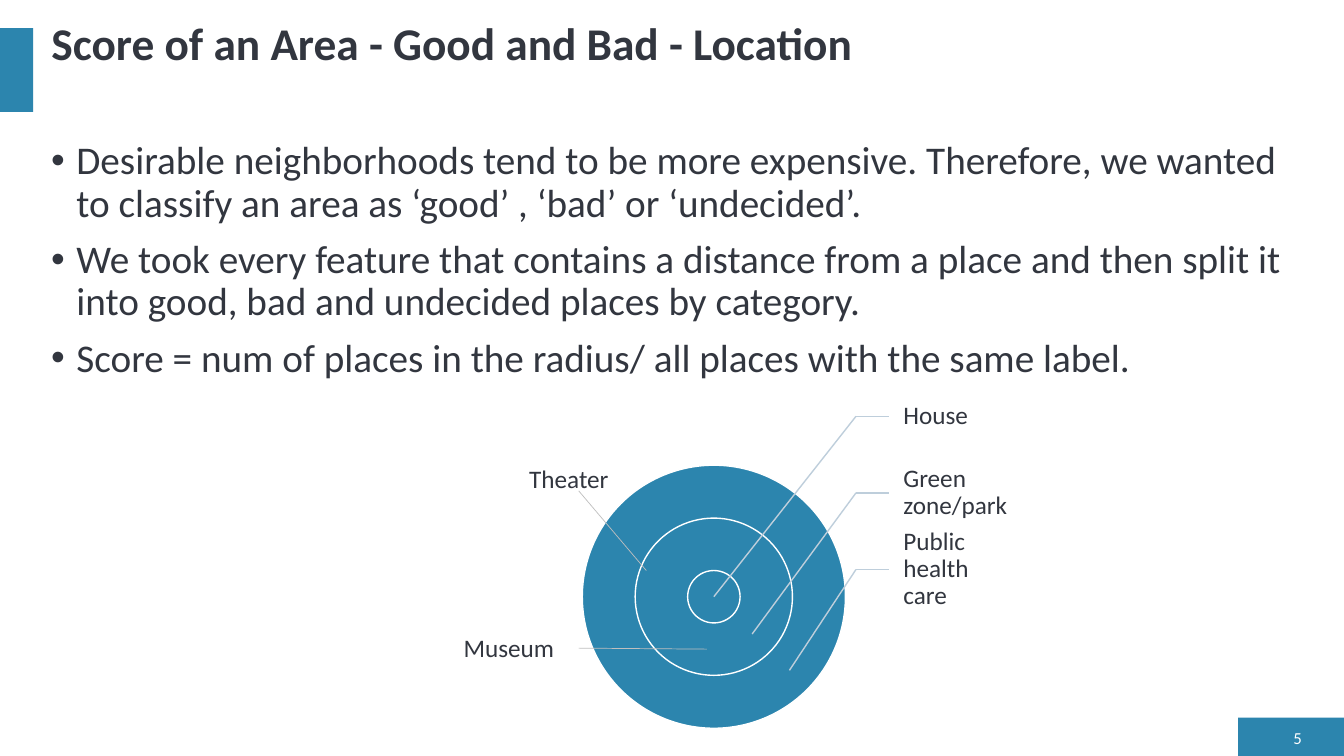
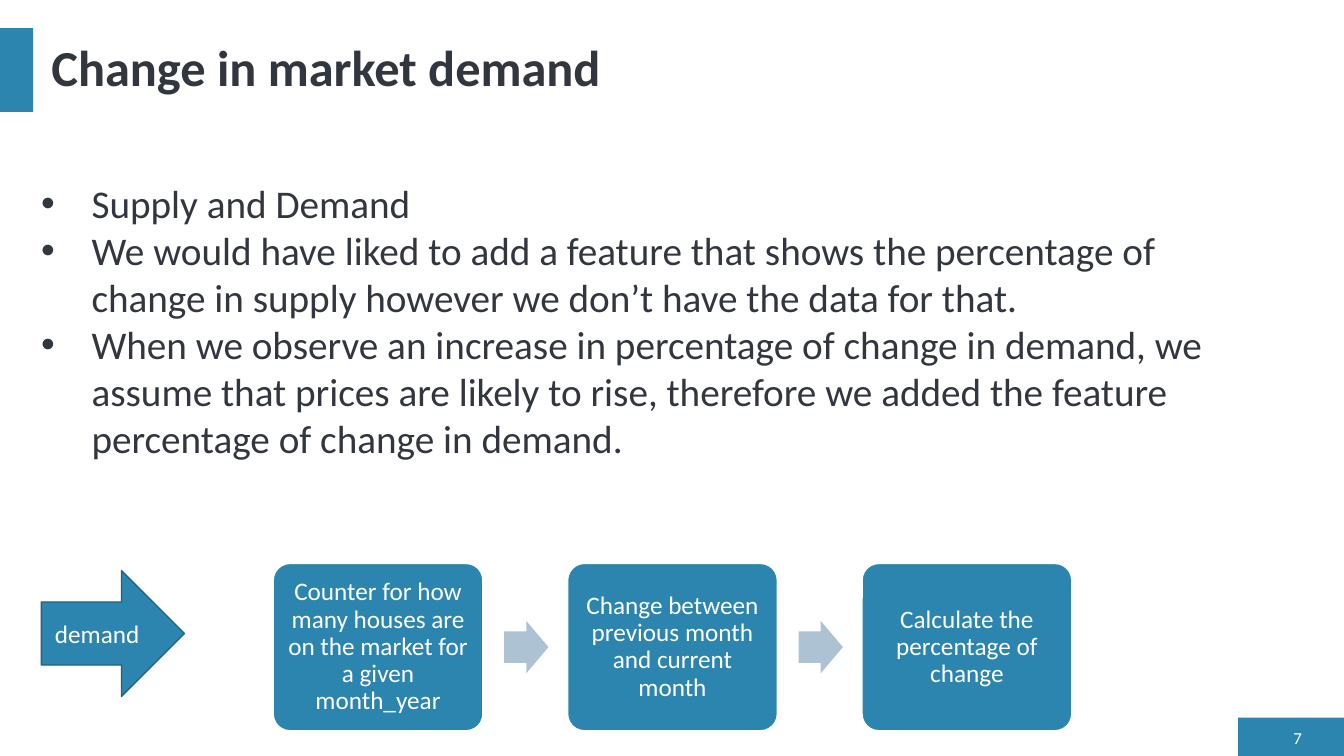
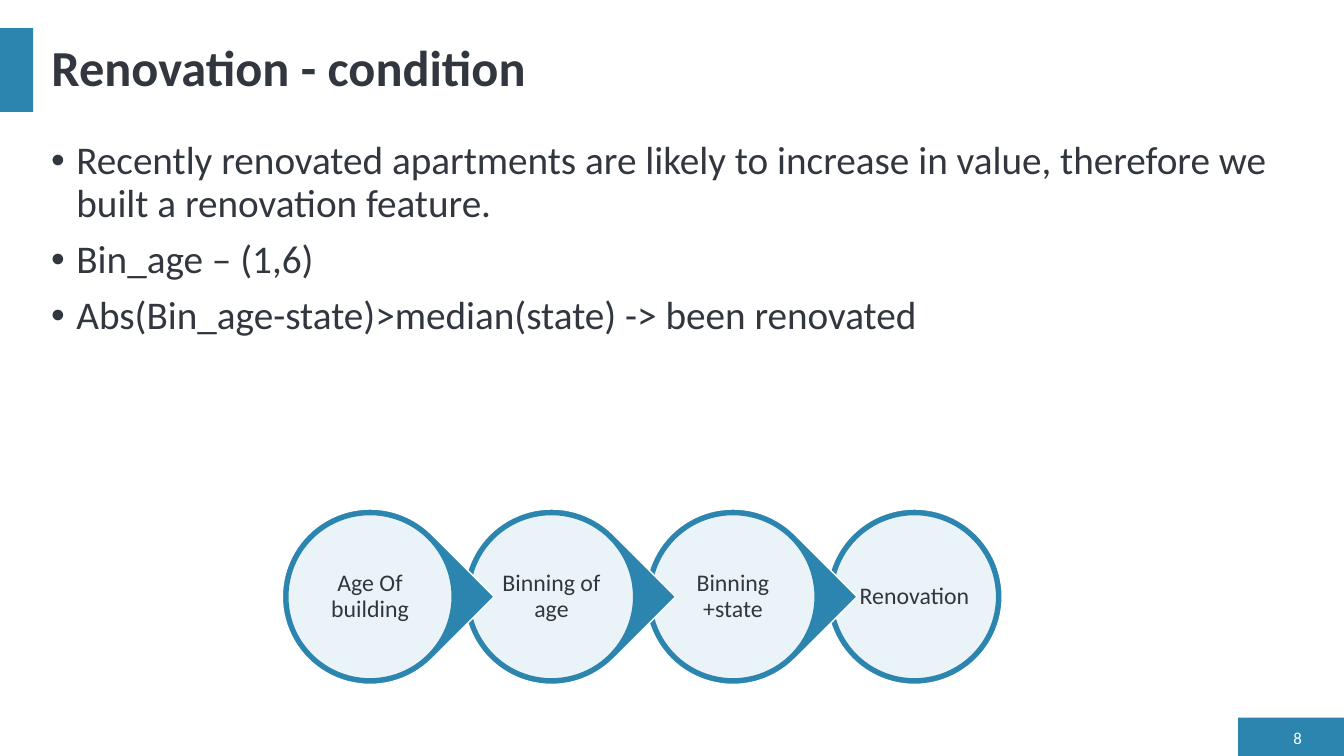
from pptx import Presentation
from pptx.dml.color import RGBColor
from pptx.enum.shapes import MSO_CONNECTOR, MSO_SHAPE
from pptx.enum.text import MSO_ANCHOR, MSO_AUTO_SIZE, PP_ALIGN
from pptx.oxml.ns import qn
from pptx.util import Inches, Pt
from lxml import etree

FONT = "Calibri"
BLUE = RGBColor(0x2C, 0x85, 0xAE)
DARK_BLUE = RGBColor(0x21, 0x62, 0x81)
PALE_BLUE = RGBColor(0xAD, 0xC2, 0xD3)
CALLOUT = RGBColor(0xBE, 0xCE, 0xDB)
GREY = RGBColor(0xBF, 0xBF, 0xBF)
INK = RGBColor(0x32, 0x36, 0x3F)
WHITE = RGBColor(0xFF, 0xFF, 0xFF)

BANDS = [(12.28, 7.12, 1.05, 0.38), (0, 0.28, 0.33, 0.83)]
TITLE_AT = (0.41, 0.28, 12.6, 0.83)
NUMBER_AT = (12.6, 7.2, 0.41, 0.23)

LOCATION_POINTS = [
    "Desirable neighborhoods tend to be more expensive. Therefore, we wanted to classify "
    "an area as ‘good’ , ‘bad’ or ‘undecided’.",
    "We took every feature that contains a distance from a place and then split it into "
    "good, bad and undecided places by category.",
    "Score = num of places in the radius/ all places with the same label.",
]
RING_CENTER = (7.08, 5.92)
RING_DIAMETERS = [2.61, 1.56, 0.52]
RIGHT_CALLOUTS = [  # label, line end
    ("House", RING_CENTER),
    ("Green zone/park", (7.46, 6.29)),
    ("Public health care", (7.83, 6.65)),
]
LEFT_CALLOUTS = [  # label, box, line start, line end
    ("Museum", (4.5, 6.22, 1.24, 0.4), (5.74, 6.43), (7.01, 6.44)),
    ("Theater", (5.15, 4.55, 1.55, 0.4), (5.74, 4.87), (6.41, 5.66)),
]

DEMAND_POINTS = [
    "Supply and Demand",
    "We would have liked to add a feature that shows the percentage of change in supply "
    "however we don’t have the data for that.",
    "When we observe an increase in percentage of change in demand, we assume that prices "
    "are likely to rise, therefore we added the feature percentage of change in demand.",
]
DEMAND_STEPS = [
    "Counter for how many houses are on the market for a given month_year",
    "Change between previous month and current month",
    "Calculate the percentage of change",
]

RENOVATION_POINTS = [
    "Recently renovated apartments are likely to increase in value, therefore we built a "
    "renovation feature.",
    "Bin_age – (1,6)",
    "Abs(Bin_age-state)>median(state) -> been renovated",
]
RENOVATION_STEPS = ["Age Of building", "Binning of age", "Binning +state", "Renovation"]


def inches(values):
    return [Inches(v) for v in values]


def write(p, text, size, color, bold=False):
    r = p.add_run()
    r.text = text
    r.font.name, r.font.size, r.font.bold = FONT, Pt(size), bold
    r.font.color.rgb = color


def set_text(sp, text, size, color, align=PP_ALIGN.LEFT, spacing=1.0, margins=None):
    tf = sp.text_frame
    tf.word_wrap = True
    tf.vertical_anchor = MSO_ANCHOR.MIDDLE
    if margins:
        tf.margin_left, tf.margin_top, tf.margin_right, tf.margin_bottom = inches(margins)
    p = tf.paragraphs[0]
    p.alignment, p.line_spacing = align, spacing
    write(p, text, size, color)


def add_label(s, at, *args, **kwargs):
    set_text(s.shapes.add_textbox(*inches(at)), *args, **kwargs)


def add_shape(s, kind, at, fill, line=None):
    sp = s.shapes.add_shape(kind, *inches(at))
    sp.shadow.inherit = False
    sp.fill.solid()
    sp.fill.fore_color.rgb = fill
    if line is None:
        sp.line.fill.background()
    else:
        sp.line.color.rgb = line
        sp.line.width = Pt(1)
    return sp


def add_line(s, start, end, color, width):
    line = s.shapes.add_connector(MSO_CONNECTOR.STRAIGHT, *inches(start + end))
    line.line.color.rgb = color
    line.line.width = Pt(width)
    etree.SubElement(line.element.spPr, qn("a:effectLst"))


def add_bullets(s, at, points, indent, spacing=1.0, before=0):
    tf = s.shapes.add_textbox(*inches(at)).text_frame
    tf.word_wrap = True
    for i, text in enumerate(points):
        p = tf.paragraphs[0] if i == 0 else tf.add_paragraph()
        p.line_spacing, p.space_before = spacing, Pt(before)
        pPr = p._p.get_or_add_pPr()
        pPr.set("marL", str(Inches(indent)))
        pPr.set("indent", str(-Inches(indent)))
        etree.SubElement(pPr, qn("a:buFont")).set("typeface", "Arial")
        etree.SubElement(pPr, qn("a:buChar")).set("char", "•")
        write(p, text, 28, INK)


def add_slide(prs, title, number, size=36):
    s = prs.slides.add_slide(prs.slide_layouts[5])
    for at in BANDS:
        add_shape(s, MSO_SHAPE.RECTANGLE, at, BLUE)
    head = s.shapes.title
    head.left, head.top, head.width, head.height = inches(TITLE_AT)
    tf = head.text_frame
    tf.auto_size, tf.word_wrap = MSO_AUTO_SIZE.NONE, True
    tf.vertical_anchor = MSO_ANCHOR.MIDDLE
    p = tf.paragraphs[0]
    p.alignment, p.line_spacing = PP_ALIGN.LEFT, 0.9
    write(p, title, size, INK, bold=True)
    add_label(s, NUMBER_AT, number, 12, WHITE, PP_ALIGN.RIGHT)
    return s


def location_slide(prs):
    s = add_slide(prs, "Score of an Area - Good and Bad - Location", "5", 32.4)
    s.shapes.title.text_frame.margin_bottom = Inches(0.54)
    add_bullets(s, (0.41, 1.35, 12.6, 5.41), LOCATION_POINTS, 0.25, 0.9, 10)
    cx, cy = RING_CENTER
    for d in RING_DIAMETERS:
        add_shape(s, MSO_SHAPE.OVAL, (cx - d / 2, cy - d / 2, d, d), BLUE, WHITE)
    left, height = 8.82, 0.76
    for i, (text, target) in enumerate(RIGHT_CALLOUTS):
        top = 3.75 + i * height
        elbow = (8.49, top + height / 2)
        add_label(s, (left, top, 1.3, height), text, 18, INK, spacing=0.9,
                  margins=(0.14, 0.03, 0.03, 0.03))
        add_line(s, elbow, (left, elbow[1]), CALLOUT, 1)
        add_line(s, elbow, target, CALLOUT, 1)
    for text, at, start, end in LEFT_CALLOUTS:
        add_label(s, at, text, 18, INK)
        add_line(s, start, end, GREY, 0.5)


def demand_slide(prs):
    s = add_slide(prs, "Change in market demand", "7")
    add_bullets(s, (0.31, 1.73, 12.04, 2.93), DEMAND_POINTS, 0.5)
    width, height, top, pitch = 2.08, 1.66, 5.59, 2.92
    for i, text in enumerate(DEMAND_STEPS):
        left = 2.71 + i * pitch
        box = add_shape(s, MSO_SHAPE.ROUNDED_RECTANGLE, (left, top, width, height), BLUE, WHITE)
        box.adjustments[0] = 0.1
        set_text(box, text, 18, WHITE, PP_ALIGN.CENTER, 0.9, [0.07] * 4)
        if i < len(DEMAND_STEPS) - 1:
            arrow = add_shape(s, MSO_SHAPE.RIGHT_ARROW,
                              (left + 2.29, top + 0.57, 0.44, 0.52), PALE_BLUE)
            arrow.adjustments[0] = 0.6
    demand = add_shape(s, MSO_SHAPE.RIGHT_ARROW, (0.41, 5.66, 1.42, 1.25), BLUE, DARK_BLUE)
    set_text(demand, "demand", 18, WHITE, PP_ALIGN.CENTER)


def renovation_slide(prs):
    s = add_slide(prs, "Renovation - condition", "8")
    add_bullets(s, (0.41, 1.35, 12.6, 3.21), RENOVATION_POINTS, 0.25, 0.9, 10)
    outer, inner, top, pitch = 1.74, 1.63, 5.05, 1.8
    inset = (outer - inner) / 2
    last = len(RENOVATION_STEPS) - 1
    # Right to left, so that each drop's tip lies over the next circle
    for i in range(last, -1, -1):
        left = 2.8 + i * pitch
        kind = MSO_SHAPE.OVAL if i == last else MSO_SHAPE.TEAR
        drop = add_shape(s, kind, (left, top, outer, outer), BLUE, WHITE)
        drop.rotation = 0 if i == last else 45
        disc = add_shape(s, MSO_SHAPE.OVAL, (left + inset, top + inset, inner, inner),
                         WHITE, BLUE)
        color = disc.element.spPr.find(qn("a:solidFill")).find(qn("a:srgbClr"))
        etree.SubElement(color, qn("a:alpha")).set("val", "90000")
        set_text(disc, RENOVATION_STEPS[i], 17, INK, PP_ALIGN.CENTER, 0.9, [0.02] * 4)


def main():
    prs = Presentation()
    prs.slide_width, prs.slide_height = Inches(13.33), Inches(7.5)
    location_slide(prs)
    demand_slide(prs)
    renovation_slide(prs)
    prs.save("out.pptx")


if __name__ == "__main__":
    main()
